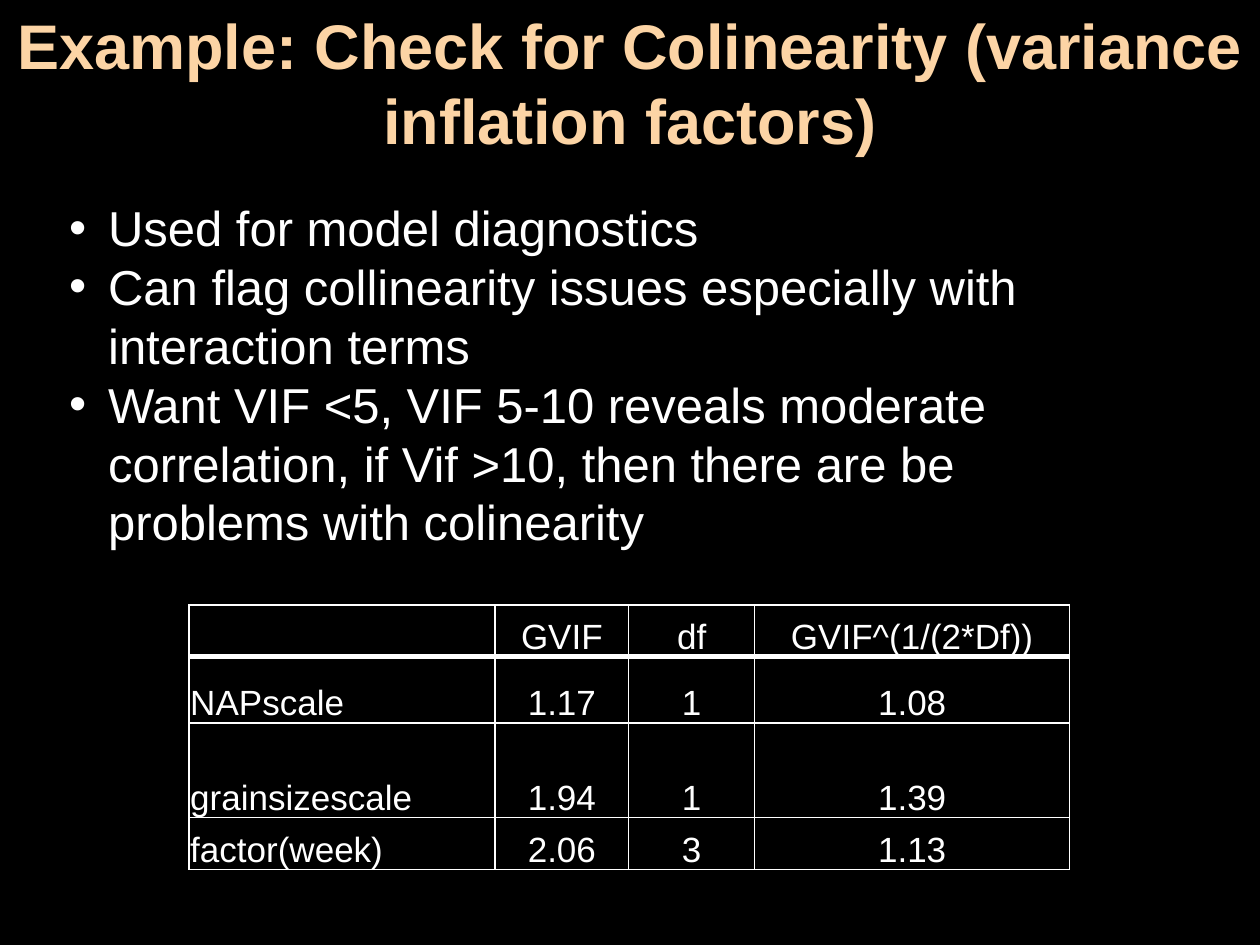
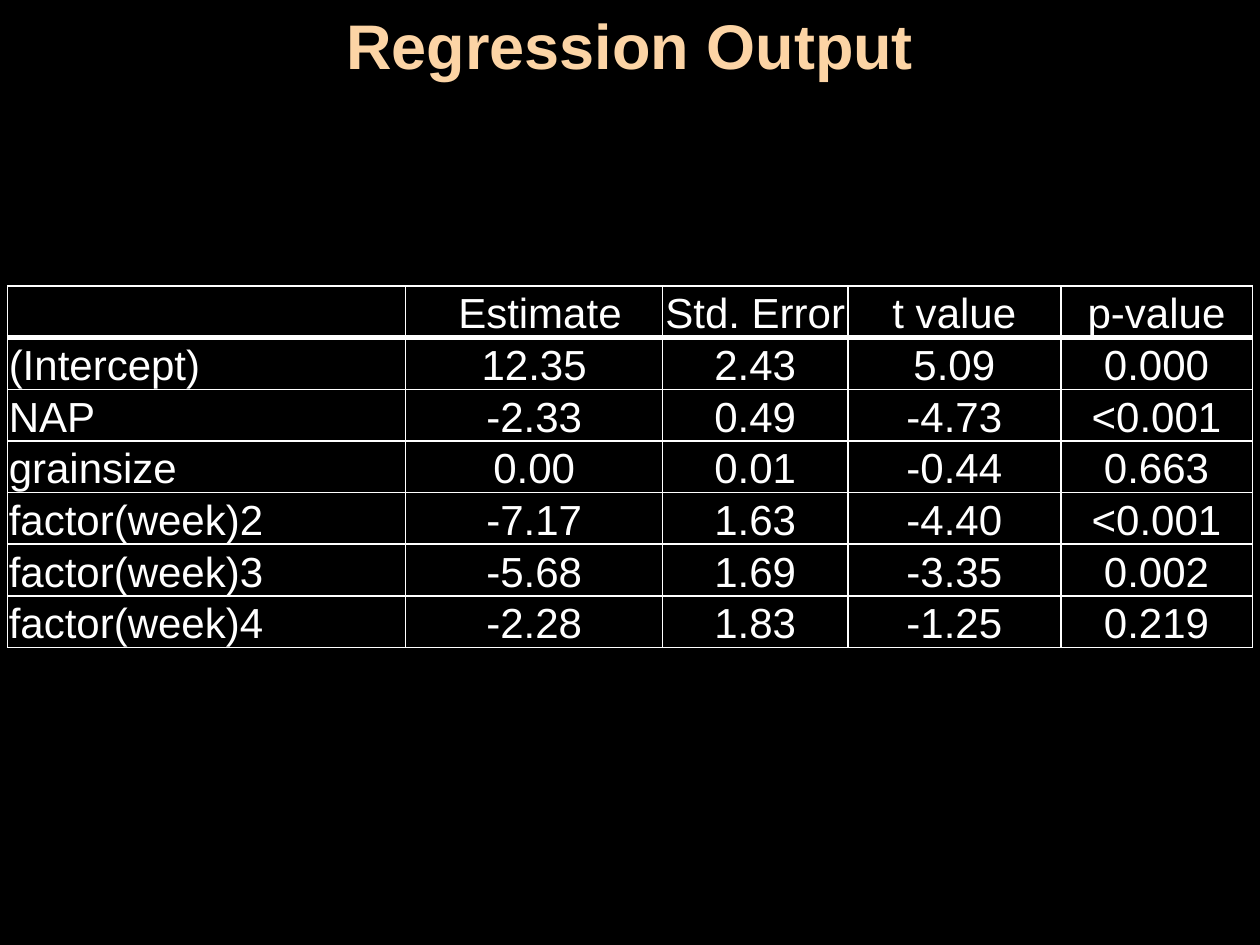
"""Build two slides on collinearity checks and regression output."""
from lxml.etree import SubElement as Sub
from pptx import Presentation
from pptx.dml.color import RGBColor as Rgb
from pptx.enum.text import MSO_ANCHOR as Anchor, MSO_AUTO_SIZE as Fit, PP_ALIGN as Align
from pptx.oxml.ns import qn
from pptx.util import Inches, Pt

HUES = {"back": "000000", "title": "FCD4A5", "text": "FFFFFF"}
FONT = "Arial"
INDENT = 0.31
CELL = {
    "margin_left": Inches(0.01),
    "margin_right": Inches(0.01),
    "margin_top": Inches(0.01),
    "margin_bottom": 0,
    "vertical_anchor": Anchor.BOTTOM,
}
FRAME = {"word_wrap": True, "auto_size": Fit.NONE, "vertical_anchor": Anchor.TOP}

SLIDES = [
    {
        "title": "Example: Check for Colinearity (variance inflation factors)",
        "head": 1.31,
        "points": [
            "Used for model diagnostics",
            "Can flag collinearity issues especially with interaction terms",
            "Want VIF <5, VIF 5-10 reveals moderate correlation, "
            "if Vif >10, then there are be problems with colinearity",
        ],
        "spot": (1.5, 4.8),
        "size": 20,
        "cols": [2.43, 1.06, 1, 2.5],
        "rows": [0.41, 0.53, 0.75, 0.41],
        "data": [
            ("", "GVIF", "df", "GVIF^(1/(2*Df))"),
            ("NAPscale", "1.17", "1", "1.08"),
            ("grainsizescale", "1.94", "1", "1.39"),
            ("factor(week)", "2.06", "3", "1.13"),
        ],
    },
    {
        "title": "Regression Output",
        "head": 0.71,
        "points": [],
        "spot": (0.06, 2.27),
        "size": 24,
        "cols": [3.16, 2.04, 1.47, 1.69, 1.52],
        "rows": [0.41] * 7,
        "data": [
            ("", " Estimate", "Std. Error", "t value", "p-value"),
            ("(Intercept)", "12.35", "2.43", "5.09", "0.000"),
            ("NAP", "-2.33", "0.49", "-4.73", "<0.001"),
            ("grainsize", "0.00", "0.01", "-0.44", "0.663"),
            ("factor(week)2", "-7.17", "1.63", "-4.40", "<0.001"),
            ("factor(week)3", "-5.68", "1.69", "-3.35", "0.002"),
            ("factor(week)4", "-2.28", "1.83", "-1.25", "0.219"),
        ],
    },
]


def apply(item, values):
    for name, value in values.items():
        setattr(item, name, value)


def style(para, size, hue="text", align=Align.LEFT, bold=False):
    para.alignment = align
    apply(para.font, {"name": FONT, "size": Pt(size), "bold": bold})
    para.font.color.rgb = Rgb.from_string(HUES[hue])


def add_title(slide, text, height):
    title = slide.shapes.title
    places = {"left": 0, "top": 0, "width": Inches(10), "height": Inches(height)}
    apply(title, places)
    apply(title.text_frame, FRAME)
    title.text_frame.text = text
    style(title.text_frame.paragraphs[0], 36, "title", Align.CENTER, True)


def add_points(slide, points):
    box = slide.shapes.add_textbox(*map(Inches, (0.45, 1.52, 8.51, 2.93)))
    apply(box.text_frame, FRAME)
    box.text_frame.text = "\n".join(points)
    for para in box.text_frame.paragraphs:
        style(para, 28)
        props = para._p.get_or_add_pPr()
        props.set("marL", str(Inches(INDENT)))
        props.set("indent", str(-Inches(INDENT)))
        Sub(props, qn("a:buFont"), typeface=FONT)
        Sub(props, qn("a:buChar"), char="•")


def add_rules(cell, row):
    props = cell._tc.get_or_add_tcPr()
    for side in "LRTB":
        thick = (row, side) in ((0, "B"), (1, "T"))
        line = Sub(props, qn(f"a:ln{side}"), w=str(Pt(3 if thick else 1)))
        fill = Sub(line, qn("a:solidFill"))
        Sub(fill, qn("a:srgbClr"), val=HUES["text"])


def add_grid(slide, spot, size, cols, rows, data):
    area = map(Inches, (*spot, sum(cols), sum(rows)))
    table = slide.shapes.add_table(len(rows), len(cols), *area).table
    apply(table, {"first_row": False, "horz_banding": False})
    for col, width in zip(table.columns, cols):
        col.width = Inches(width)
    for row, height in zip(table.rows, rows):
        row.height = Inches(height)
    for r, line in enumerate(data):
        for c, text in enumerate(line):
            cell = table.cell(r, c)
            cell.text = text
            apply(cell, CELL)
            style(cell.text_frame.paragraphs[0], size,
                  align=Align.CENTER if c else Align.LEFT)
            add_rules(cell, r)
            cell.fill.background()


def main():
    deck = Presentation()
    apply(deck, {"slide_width": Inches(10), "slide_height": Inches(7.5)})
    back = deck.slide_master.background.fill
    back.solid()
    back.fore_color.rgb = Rgb.from_string(HUES["back"])
    for part in SLIDES:
        slide = deck.slides.add_slide(deck.slide_layouts[5])
        add_title(slide, part["title"], part["head"])
        if part["points"]:
            add_points(slide, part["points"])
        add_grid(slide, *(part[key] for key in ("spot", "size", "cols", "rows", "data")))
    deck.save("out.pptx")


if __name__ == "__main__":
    main()
